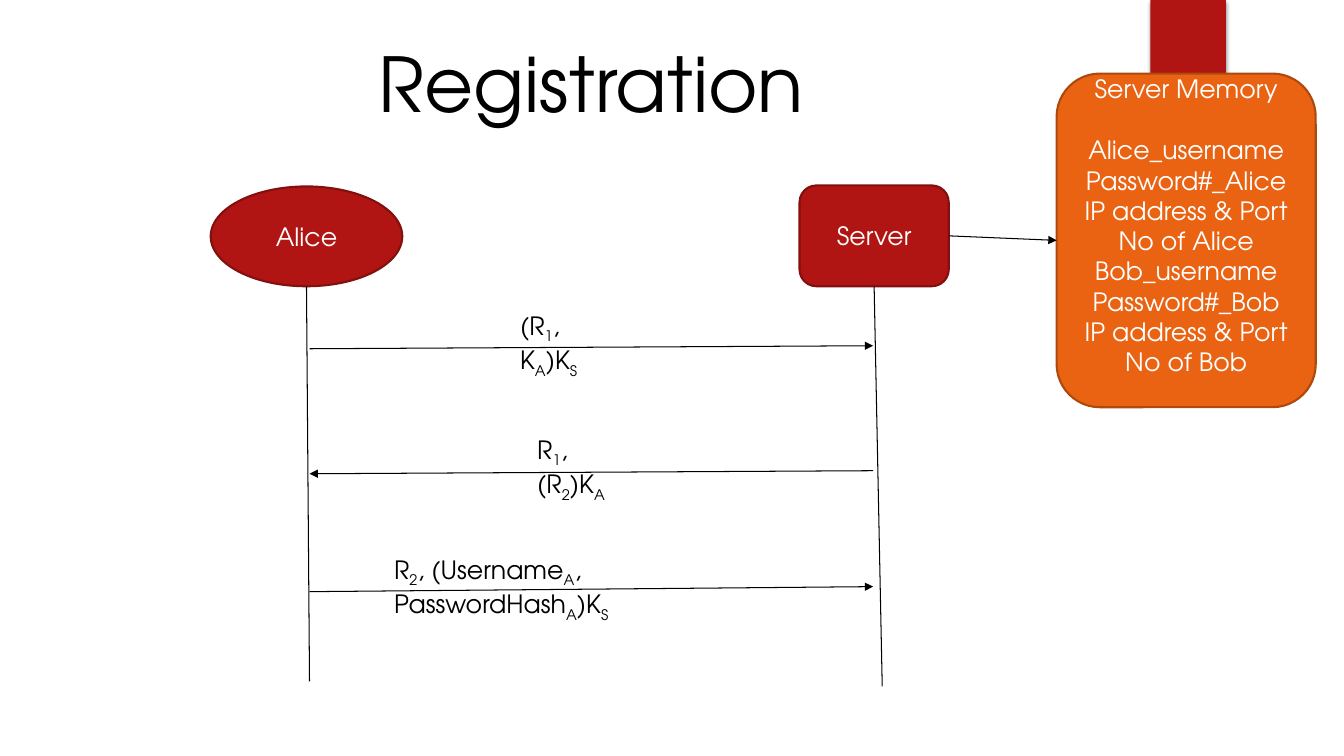
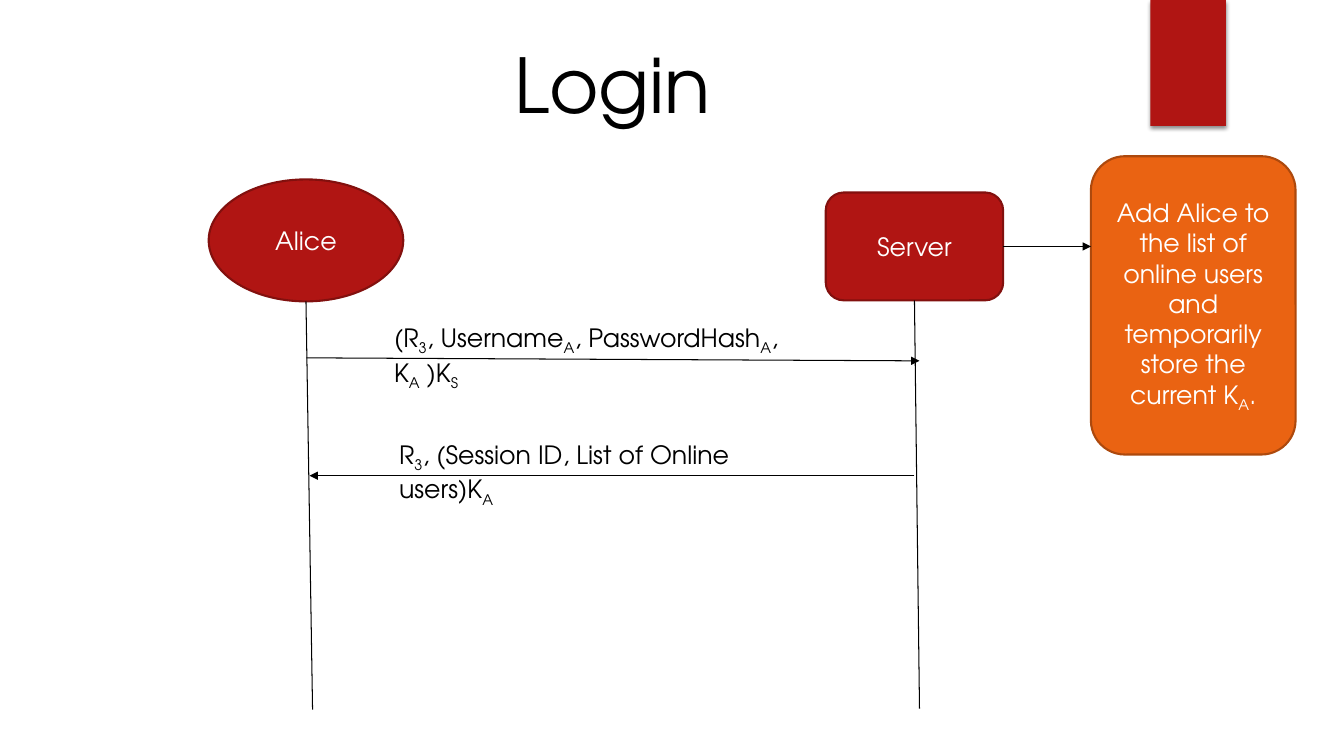
from lxml.etree import SubElement
from pptx import Presentation
from pptx.dml.color import RGBColor
from pptx.enum.shapes import MSO_CONNECTOR, MSO_SHAPE
from pptx.enum.text import MSO_ANCHOR, PP_ALIGN
from pptx.oxml.ns import qn
from pptx.util import Inches, Pt

FONT = "TeX Gyre Adventor"
BLACK = RGBColor(0x00, 0x00, 0x00)
WHITE = RGBColor(0xFF, 0xFF, 0xFF)
RED = RGBColor(0xB0, 0x15, 0x13)
DARK_RED = RGBColor(0x82, 0x10, 0x0E)
ORANGE = RGBColor(0xEA, 0x63, 0x12)
DARK_ORANGE = RGBColor(0xAD, 0x49, 0x0D)

BAND = (11.41, 0, 0.75, 1.25)
BODY_SIZE, TITLE_SIZE = 18, 54
LABEL_HEIGHT = 0.4

# Text between bars is subscript: "R|1|" shows R with a lowered 1.
# Boxes are (left, top, width, height); a label is (left, top, width).
DIAGRAMS = [
    {
        "title": ("Registration", (3.63, 0.32, 4.47, 1.01)),
        "alice": (2.09, 1.85, 1.9, 0.99),
        "server": (7.93, 1.84, 1.48, 1),
        "lifeline_ends": [(3.07, 6.76), (8.75, 6.81)],
        "messages": [
            ("(R|1|, K|A|)K|S|", (5.06, 3.03, 1.17), (3.07, 3.46), (8.66, 3.43)),
            ("R|1|, (R|2|)K|A|", (5.23, 4.26, 1.15), (8.66, 4.67), (3.07, 4.7)),
            ("R|2|, (Username|A|, PasswordHash|A|)K|S|",
             (3.81, 5.45, 3.85), (3.07, 5.87), (8.66, 5.82)),
        ],
        "memory": {
            "box": (10.48, 0.73, 2.57, 3.31),
            "heading": "Server Memory",
            "lines": [
                "Alice_username", "Password#_Alice", "IP address & Port No of Alice",
                "Bob_username", "Password#_Bob", "IP address & Port No of Bob",
            ],
            "bottom_margin": 0.35,
        },
    },
    {
        "title": ("Login", (4.99, 0.33, 2.17, 1.01)),
        "alice": (2.07, 1.78, 1.93, 1.21),
        "server": (8.19, 1.91, 1.76, 1.07),
        "lifeline_ends": [(3.1, 7.04), (9.12, 7.03)],
        "messages": [
            ("(R|3|, Username|A|, PasswordHash|A|, K|A| )K|S|",
             (3.81, 3.15, 4.17), (3.04, 3.55), (9.12, 3.58)),
            ("R|3|, (Session ID, List of Online users)K|A|",
             (3.86, 4.31, 4.11), (9.07, 4.72), (3.07, 4.72)),
        ],
        "memory": {
            "box": (10.82, 1.55, 2.03, 2.96),
            "heading": None,
            "lines": ["Add Alice to the list of online users and temporarily "
                      "store the current K|A|."],
            "bottom_margin": 0.05,
        },
    },
]


def inches(values):
    return [Inches(value) for value in values]


def write(frame, lines, color, size=BODY_SIZE, align=PP_ALIGN.CENTER):
    """Fill the frame, one paragraph a line, lowering the text between bars."""
    for number, line in enumerate(lines):
        paragraph = frame.add_paragraph() if number else frame.paragraphs[0]
        paragraph.alignment = align
        for part, text in enumerate(line.split("|")):
            if not text:
                continue
            run = paragraph.add_run()
            run.text = text
            run.font.name = FONT
            run.font.size = Pt(size)
            run.font.color.rgb = color
            if part % 2:
                run.font._element.set("baseline", "-25000")


def add_box(slide, preset, box, fill, outline=None):
    shape = slide.shapes.add_shape(preset, *inches(box))
    shape.shadow.inherit = False
    shape.fill.solid()
    shape.fill.fore_color.rgb = fill
    if outline is None:
        shape.line.fill.background()
    else:
        shape.line.color.rgb = outline
        shape.line.width = Pt(1.5)
    shape.text_frame.word_wrap = True
    shape.text_frame.vertical_anchor = MSO_ANCHOR.MIDDLE
    return shape


def add_line(slide, start, end, arrow=True):
    line = slide.shapes.add_connector(MSO_CONNECTOR.STRAIGHT, *inches(start + end))
    line.line.color.rgb = BLACK
    line.line.width = Pt(0.75)
    if arrow:
        SubElement(line.line._get_or_add_ln(), qn("a:tailEnd"), type="triangle")
    SubElement(line._element.spPr, qn("a:effectLst"))


def add_text(slide, box, text, size, align, wrap):
    frame = slide.shapes.add_textbox(*inches(box)).text_frame
    frame.word_wrap = wrap
    write(frame, [text], BLACK, size, align)


def add_band(slide):
    band = add_box(slide, MSO_SHAPE.RECTANGLE, BAND, RED)
    effects = band._element.spPr.find(qn("a:effectLst"))
    shadow = SubElement(effects, qn("a:outerShdw"), blurRad=str(Pt(3)),
                        dist=str(Pt(2)), dir="5400000", rotWithShape="0")
    color = SubElement(shadow, qn("a:srgbClr"), val=str(BLACK))
    SubElement(color, qn("a:alpha"), val="45000")


def add_memory(slide, memory):
    frame = add_box(slide, MSO_SHAPE.ROUNDED_RECTANGLE, memory["box"],
                    ORANGE, DARK_ORANGE).text_frame
    frame.margin_bottom = Inches(memory["bottom_margin"])
    heading = memory["heading"]
    write(frame, ([heading] if heading else []) + memory["lines"], WHITE)
    if heading:
        frame.paragraphs[0].space_after = Pt(22)


def bottom_center(box):
    left, top, width, height = box
    return left + width / 2, top + height


def add_diagram(slide, diagram):
    add_band(slide)
    alice, server, memory = diagram["alice"], diagram["server"], diagram["memory"]
    actors = [("Alice", MSO_SHAPE.OVAL, alice),
              ("Server", MSO_SHAPE.ROUNDED_RECTANGLE, server)]
    for (name, preset, box), end in zip(actors, diagram["lifeline_ends"]):
        actor = add_box(slide, preset, box, RED, DARK_RED)
        write(actor.text_frame, [name], WHITE)
        add_line(slide, bottom_center(box), end, arrow=False)

    for text, label, start, end in diagram["messages"]:
        add_line(slide, start, end)
        add_text(slide, label + (LABEL_HEIGHT,), text, BODY_SIZE, PP_ALIGN.LEFT, True)

    add_memory(slide, memory)
    left, top, _, height = memory["box"]
    add_line(slide, (server[0] + server[2], server[1] + server[3] / 2),
             (left, top + height / 2 if memory["heading"] else server[1] + server[3] / 2))
    title, title_box = diagram["title"]
    add_text(slide, title_box, title, TITLE_SIZE, PP_ALIGN.CENTER, False)


def main():
    deck = Presentation()
    deck.slide_width, deck.slide_height = Inches(13.33), Inches(7.5)
    for diagram in DIAGRAMS:
        add_diagram(deck.slides.add_slide(deck.slide_layouts[6]), diagram)
    deck.save("out.pptx")


if __name__ == "__main__":
    main()
